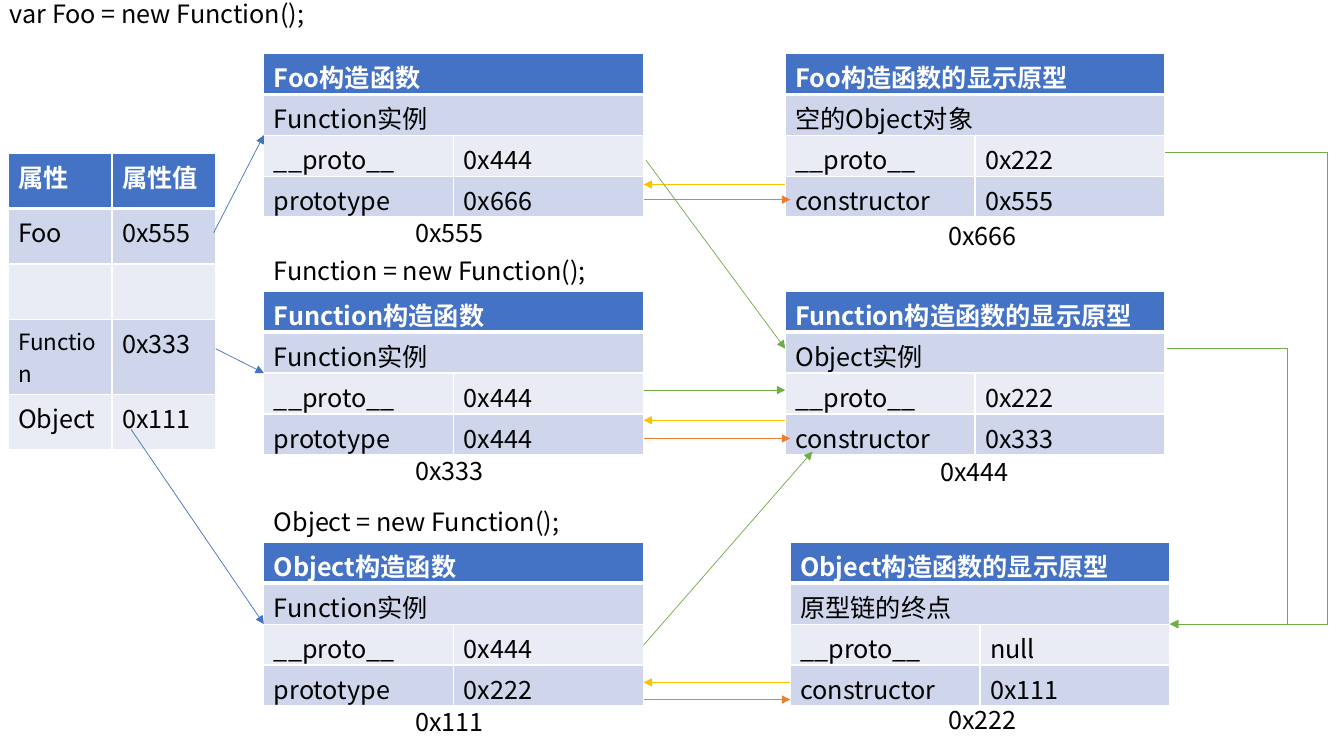
from lxml import etree
from pptx import Presentation
from pptx.dml.color import RGBColor
from pptx.enum import shapes, text
from pptx.oxml import ns
from pptx.util import Pt

FONT = "Noto Sans CJK SC"
WHITE = RGBColor(0xFF, 0xFF, 0xFF)
BLACK = RGBColor(0, 0, 0)
BLUE = RGBColor(0x44, 0x72, 0xC4)
DARK = RGBColor(0xCF, 0xD5, 0xEA)
LIGHT = RGBColor(0xE9, 0xEB, 0xF5)
ORANGE = RGBColor(0xED, 0x7D, 0x31)
GOLD = RGBColor(0xFF, 0xC0, 0x00)
GREEN = RGBColor(0x70, 0xAD, 0x47)

LEFT, MID, RIGHT = 188.5, 560.9, 564.5
TOPS = 38.2, 208.1, 387.4
WIDE, HIGH = 271.2, 116.8


def add(parent, tag, **attrs):
    return etree.SubElement(parent, ns.qn(tag), attrs)


def style(frame, size=18, color=BLACK, bold=False):
    for run in frame.paragraphs[0].runs:
        run.font.size = Pt(size)
        run.font.bold = bold
        run.font.color.rgb = color
        run.font.name = FONT
        add(run._r.get_or_add_rPr(), "a:ea", typeface=FONT)


def border(cell, head):
    """Draw white cell edges, thicker under the header."""
    props = cell._tc.get_or_add_tcPr()
    for side in "LRTB":
        width = 3 if head and side == "B" else 1
        edge = add(props, "a:ln" + side, w=str(Pt(width)))
        add(add(edge, "a:solidFill"), "a:srgbClr", val=str(WHITE))


def grid(slide, x, y, wide, high, rows, small=()):
    """Add a banded table; a row with one entry spans both columns."""
    frame = slide.shapes.add_table(len(rows), 2, Pt(x), Pt(y), Pt(wide), Pt(high))
    table = frame.table
    table.horz_banding = False
    for r, row in enumerate(rows):
        table.rows[r].height = Pt(high / len(rows))
        head = r == 0
        for c in range(2):
            cell = table.cell(r, c)
            border(cell, head)
            cell.fill.solid()
            cell.fill.fore_color.rgb = BLUE if head else DARK if r % 2 else LIGHT
            if c < len(row):
                cell.text_frame.text = row[c]
                size = 16 if row[c] in small else 18
                style(cell.text_frame, size, WHITE if head else BLACK, head)
        if len(row) == 1:
            table.cell(r, 0).merge(table.cell(r, 1))
    return frame


def label(slide, x, y, wide, words):
    box = slide.shapes.add_textbox(Pt(x), Pt(y), Pt(wide), Pt(29))
    frame = box.text_frame
    frame.word_wrap = True
    frame.auto_size = text.MSO_AUTO_SIZE.SHAPE_TO_FIT_TEXT
    frame.text = words
    style(frame)


def card(slide, x, y, title, kind, proto, key, value, spot, address):
    """Object table with its address at an offset from its corner."""
    rows = [(title,), (kind,), ("__proto__", proto), (key, value)]
    frame = grid(slide, x, y, WIDE, HIGH, rows)
    label(slide, x + spot[0], y + spot[1], 200, address)
    return frame


def link(slide, x1, y1, x2, y2, color, bend=None):
    """Add an arrow; bend is the x of an elbow's upright part."""
    kinds = shapes.MSO_CONNECTOR
    kind = kinds.STRAIGHT if bend is None else kinds.ELBOW
    line = slide.shapes.add_connector(kind, Pt(x1), Pt(y1), Pt(x2), Pt(y2))
    line.line.color.rgb = color
    line.line.width = Pt(0.5)
    add(line.line._get_or_add_ln(), "a:tailEnd", type="triangle")
    props = line._element.spPr
    add(props, "a:effectLst")
    if bend is not None:
        ratio = round((bend - x1) / (x2 - x1) * 100000)
        guides = props.find(ns.qn("a:prstGeom")).get_or_add_avLst()
        add(guides, "a:gd", name="adj1", fmla=f"val {ratio}")
    return line


def stack(slide):
    rows = [("属性", "属性值"), ("Foo", "0x555"), (), ("Function", "0x333"),
            ("Object", "0x111")]
    grid(slide, 5.8, 109.4, 148.4, 198, rows, small=("Function",))


def makers(slide):
    """Constructor cards in the middle column."""
    data = [("Foo", "0x666", "0x555"), ("Function", "0x444", "0x333"),
            ("Object", "0x222", "0x111")]
    label(slide, 0, -5, 286, "var Foo = new Function();")
    cards = []
    for y, (name, value, address) in zip(TOPS, data):
        if name != "Foo":
            label(slide, LEFT, y - 29.2, 286, f"{name} = new Function();")
        cards.append(card(slide, LEFT, y, name + "构造函数", "Function实例",
                          "0x444", "prototype", value, (101, 113.5), address))
    return cards


def protos(slide):
    """Prototype cards in the right column."""
    data = [(MID, "Foo", "空的Object对象", "0x222", "0x555", (109.4, 115.9), "0x666"),
            (MID, "Function", "Object实例", "0x222", "0x333", (103.7, 114.5), "0x444"),
            (RIGHT, "Object", "原型链的终点", "null", "0x111", (105.8, 112.3), "0x222")]
    for y, (x, name, kind, proto, value, spot, address) in zip(TOPS, data):
        card(slide, x, y, name + "构造函数的显示原型", kind, proto,
             "constructor", value, spot, address)


def links(slide, cards):
    starts = [(152.6, 166.3), (154.1, 249.1), (93.6, 306.7)]
    for (x, y), goal in zip(starts, cards):
        link(slide, x, y, LEFT, y, BLUE).end_connect(goal, 1)

    edge = LEFT + WIDE
    for y in 142.6, 313.2, 499.7:
        link(slide, edge, y, RIGHT, y, ORANGE)
    for x, y in (MID, 131.8), (MID, 300.2), (RIGHT, 487.4):
        link(slide, x, y, edge, y, GOLD)

    link(slide, edge, 460.8, 580.3, 322.6, GREEN)
    link(slide, edge, 278.6, MID, 278.6, GREEN)
    link(slide, 461.5, 114.5, MID, 249.1, GREEN)

    end, low = RIGHT + WIDE, TOPS[2] + HIGH / 2
    link(slide, 832.1, 108.7, end, low, GREEN, bend=948.2)
    link(slide, 833.8, 249.1, end, low, GREEN, bend=919.4)


def main():
    deck = Presentation()
    deck.slide_width, deck.slide_height = Pt(960), Pt(540)
    slide = deck.slides.add_slide(deck.slide_layouts[6])
    stack(slide)
    cards = makers(slide)
    protos(slide)
    links(slide, cards)
    deck.save("out.pptx")


if __name__ == "__main__":
    main()
